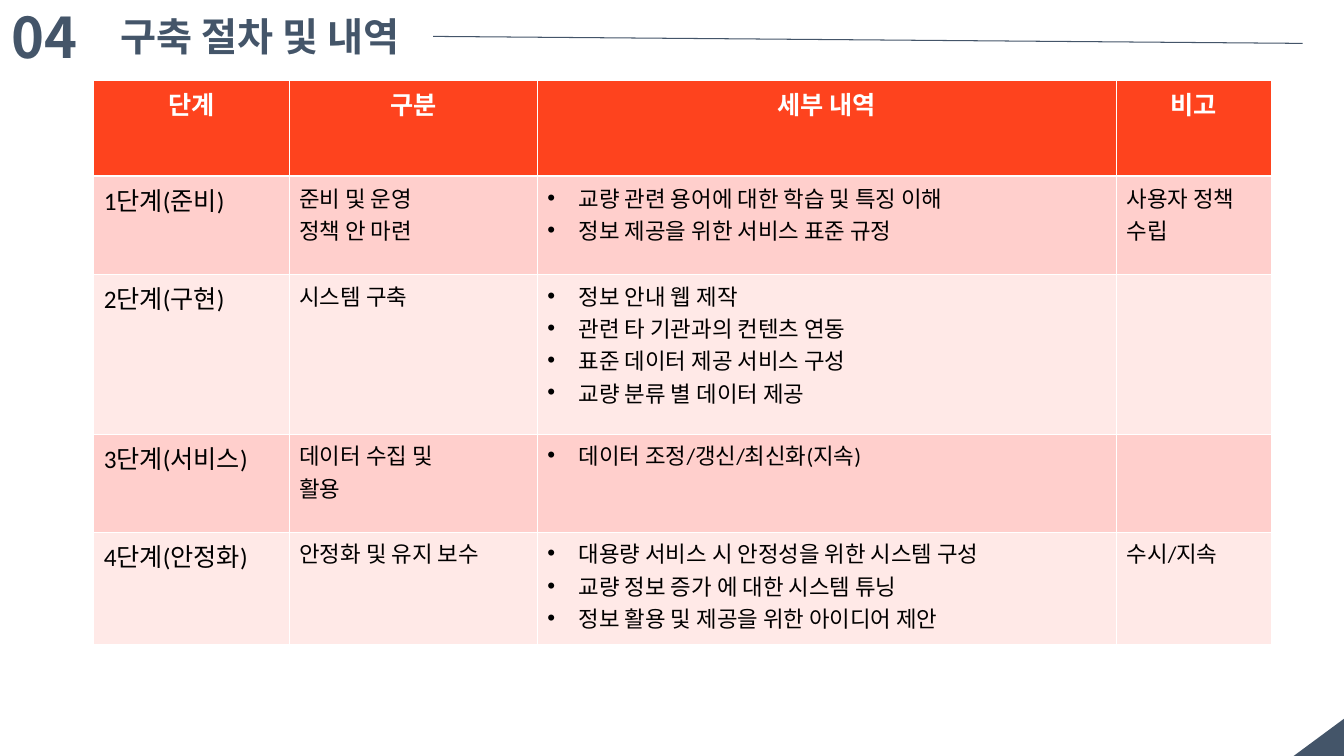
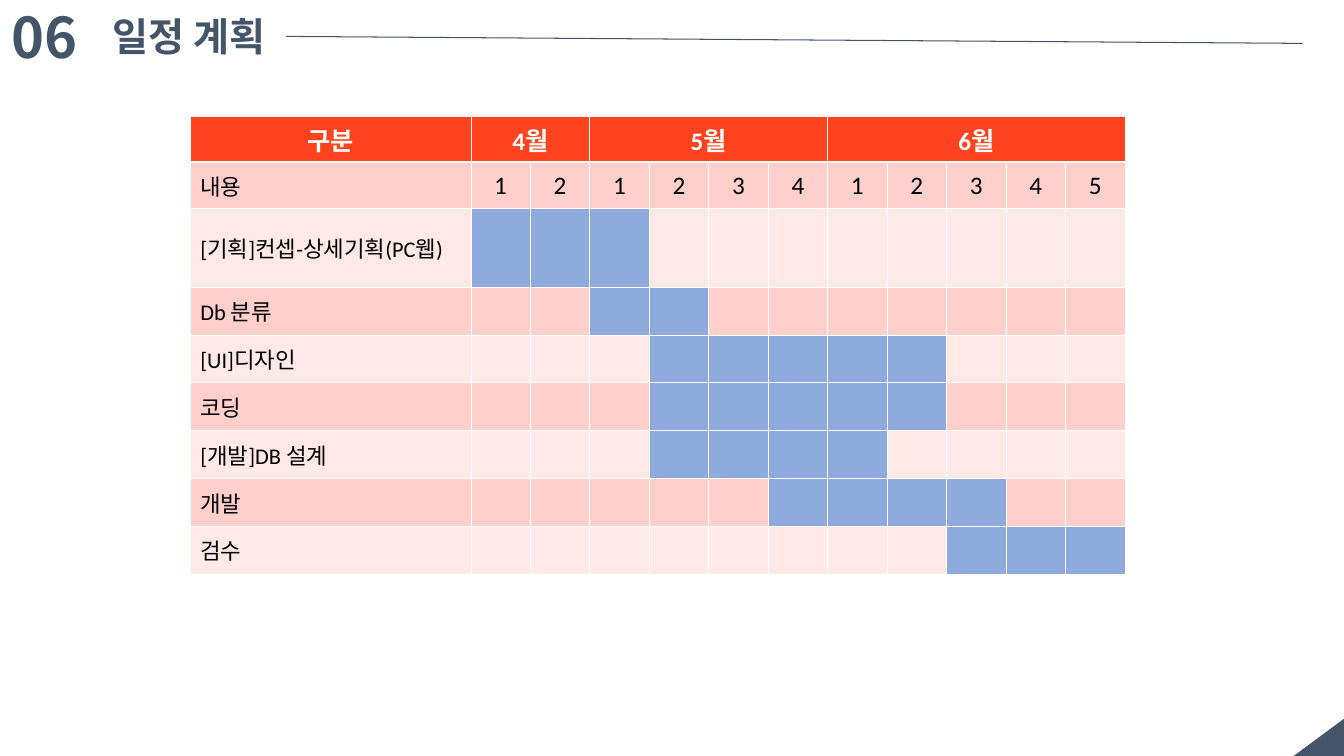
import pptx
import pptx.util
import pptx.dml.color
import pptx.enum.dml
import pptx.enum.shapes
import pptx.enum.text
import pptx.oxml.ns
from lxml import etree

Pt = pptx.util.Pt
qn = pptx.oxml.ns.qn
ALIGN = pptx.enum.text.PP_ALIGN
ANCHOR = pptx.enum.text.MSO_ANCHOR

WIDE, HIGH = 960.5, 540
COLOR = {"navy": "445569", "red": "FE431E", "rose": "FFCFCC", "pale": "FFE9E7",
         "blue": "8FAADC", "white": "FFFFFF", "black": "000000"}
HEAD, BODY = "Noto Sans CJK KR", "Calibri"
THIN, THICK = 0.45, 1.47

STEPS = [
    ("1단계(준비)", ["준비 및 운영", "정책 안 마련"],
     ["교량 관련 용어에 대한 학습 및 특징 이해", "정보 제공을 위한 서비스 표준 규정"],
     ["사용자 정책 수립"]),
    ("2단계(구현)", ["시스템 구축"],
     ["정보 안내 웹 제작", "관련 타 기관과의 컨텐츠 연동",
      "표준 데이터 제공 서비스 구성", "교량 분류 별 데이터 제공"], []),
    ("3단계(서비스)", ["데이터 수집 및", "활용"],
     ["데이터 조정/갱신/최신화(지속)"], []),
    ("4단계(안정화)", ["안정화 및 유지 보수"],
     ["대용량 서비스 시 안정성을 위한 시스템 구성", "교량 정보 증가 에 대한 시스템 튜닝",
      "정보 활용 및 제공을 위한 아이디어 제안"], ["수시/지속"]),
]
MONTHS = [("4월", 2), ("5월", 4), ("6월", 5)]
# Task, first week column, last week column
TASKS = [("[기획]컨셉-상세기획(PC웹)", 1, 3), ("Db 분류", 3, 4), ("[UI]디자인", 4, 8),
         ("코딩", 4, 8), ("[개발]DB 설계", 4, 7), ("개발", 6, 9), ("검수", 9, 11)]


def paint(fill, name):
    fill.solid()
    fill.fore_color.rgb = pptx.dml.color.RGBColor.from_string(COLOR[name])


def add_run(para, text, size, color, face=BODY, bold=False):
    run = para.add_run()
    run.text = text
    font = run.font
    font.size, font.bold, font.name = Pt(size), bold, face
    paint(font.fill, color)
    etree.SubElement(run._r.get_or_add_rPr(), qn("a:ea"), typeface=HEAD)


def add_bullet(para):
    props = para._p.get_or_add_pPr()
    props.set("marL", str(Pt(22.5)))
    props.set("indent", str(-Pt(22.5)))
    etree.SubElement(props, qn("a:buFont"), typeface="Arial")
    etree.SubElement(props, qn("a:buChar"), char="•")


def set_edges(cell, top, bottom):
    props = cell._tc.get_or_add_tcPr()
    for side, width in (("L", THIN), ("R", THIN), ("T", top), ("B", bottom)):
        line = etree.SubElement(props, qn("a:ln" + side), w=str(Pt(width)))
        fill = etree.SubElement(line, qn("a:solidFill"))
        etree.SubElement(fill, qn("a:srgbClr"), val=COLOR["white"])


def fill_cell(cell, lines, size=16, color="black", bold=False,
              align=ALIGN.LEFT, bullet=False):
    frame = cell.text_frame
    for i, text in enumerate(lines):
        para = frame.add_paragraph() if i else frame.paragraphs[0]
        para.alignment = align
        if bullet:
            add_bullet(para)
        add_run(para, text, size, color, bold=bold)


def head_cell(cell, text):
    fill_cell(cell, [text], 18, "white", True, ALIGN.CENTER)


def add_grid(slide, left, top, cols, rows, anchor):
    """Place a banded table with white rules and a red heading row."""
    table = slide.shapes.add_table(len(rows), len(cols), Pt(left), Pt(top),
                                   Pt(sum(cols)), Pt(sum(rows))).table
    table.horz_banding = False
    for col, width in zip(table.columns, cols):
        col.width = Pt(width)
    for r, height in enumerate(rows):
        table.rows[r].height = Pt(height)
        for cell in table.rows[r].cells:
            set_edges(cell, THICK if r == 1 else THIN, THICK if r == 0 else THIN)
            paint(cell.fill, "red" if r == 0 else "rose" if r % 2 else "pale")
            cell.vertical_anchor = anchor
    return table


def place_text(shape, box, text, size, wrap):
    shape.left, shape.top, shape.width, shape.height = map(Pt, box)
    frame = shape.text_frame
    frame.word_wrap = wrap
    frame.auto_size = pptx.enum.text.MSO_AUTO_SIZE.SHAPE_TO_FIT_TEXT
    frame.vertical_anchor = ANCHOR.TOP
    para = frame.paragraphs[0]
    para.alignment = ALIGN.LEFT
    add_run(para, text, size, "navy", HEAD, True)


def add_page(deck, number, title, left, width, start):
    """Start a slide with its number, title, rule and corner."""
    slide = deck.slides.add_slide(deck.slide_layouts[5])
    shapes = slide.shapes
    # Corner triangle, turned so its right angle sits bottom right
    short, long = 26.6, 36
    mid = (short + long) / 2
    corner = shapes.add_shape(pptx.enum.shapes.MSO_SHAPE.RIGHT_TRIANGLE,
                              Pt(WIDE - mid), Pt(HIGH - mid), Pt(short), Pt(long))
    corner.rotation = 270
    corner.shadow.inherit = False
    paint(corner.fill, "navy")
    corner.line.fill.background()
    # Number and title
    box = (1.5, -2, 91.5, 55.5)
    place_text(shapes.add_textbox(*map(Pt, box)), box, number, 40, True)
    place_text(shapes.title, (left, 5, width, 41), title, 28, False)
    # Rule
    rule = shapes.add_connector(pptx.enum.shapes.MSO_CONNECTOR.STRAIGHT,
                                Pt(start), Pt(26), Pt(931), Pt(31))
    rule.line.width = Pt(0.75)
    paint(rule.line.fill, "navy")
    etree.SubElement(rule._element.spPr, qn("a:effectLst"))
    return slide


def add_steps(slide, left, top):
    # The last row is tall enough for its three bullets
    table = add_grid(slide, left, top, [139.8, 177.2, 414, 110.6],
                     [69, 70, 114, 70, 80], ANCHOR.TOP)
    for c, text in enumerate(["단계", "구분", "세부 내역", "비고"]):
        head_cell(table.cell(0, c), text)
    for r, (step, kind, detail, note) in enumerate(STEPS, 1):
        fill_cell(table.cell(r, 0), [step], 18)
        fill_cell(table.cell(r, 1), kind)
        fill_cell(table.cell(r, 2), detail, bullet=True)
        fill_cell(table.cell(r, 3), note)


def add_plan(slide, left, top):
    weeks = sum(count for _, count in MONTHS)
    # The first task wraps to two lines, so its row is taller
    table = add_grid(slide, left, top, [200.5] + [42.5] * weeks,
                     [33, 33, 56] + [34.2] * 6, ANCHOR.MIDDLE)
    # Months and their weeks
    head_cell(table.cell(0, 0), "구분")
    fill_cell(table.cell(1, 0), ["내용"])
    first = 1
    for month, count in MONTHS:
        table.cell(0, first).merge(table.cell(0, first + count - 1))
        head_cell(table.cell(0, first), month)
        for week in range(count):
            fill_cell(table.cell(1, first + week), [str(week + 1)], 18,
                      align=ALIGN.CENTER)
        first += count
    # Task bars
    for r, (task, start, end) in enumerate(TASKS, 2):
        fill_cell(table.cell(r, 0), [task])
        for c in range(start, end + 1):
            paint(table.cell(r, c).fill, "blue")


def main():
    deck = pptx.Presentation()
    deck.slide_width, deck.slide_height = Pt(WIDE), Pt(HIGH)
    add_steps(add_page(deck, "04", "구축 절차 및 내역", 79, 217.5, 309.5), 67, 57)
    add_plan(add_page(deck, "06", "일정 계획", 73.5, 125.5, 204.5), 136, 83)
    deck.save("out.pptx")


if __name__ == "__main__":
    main()
